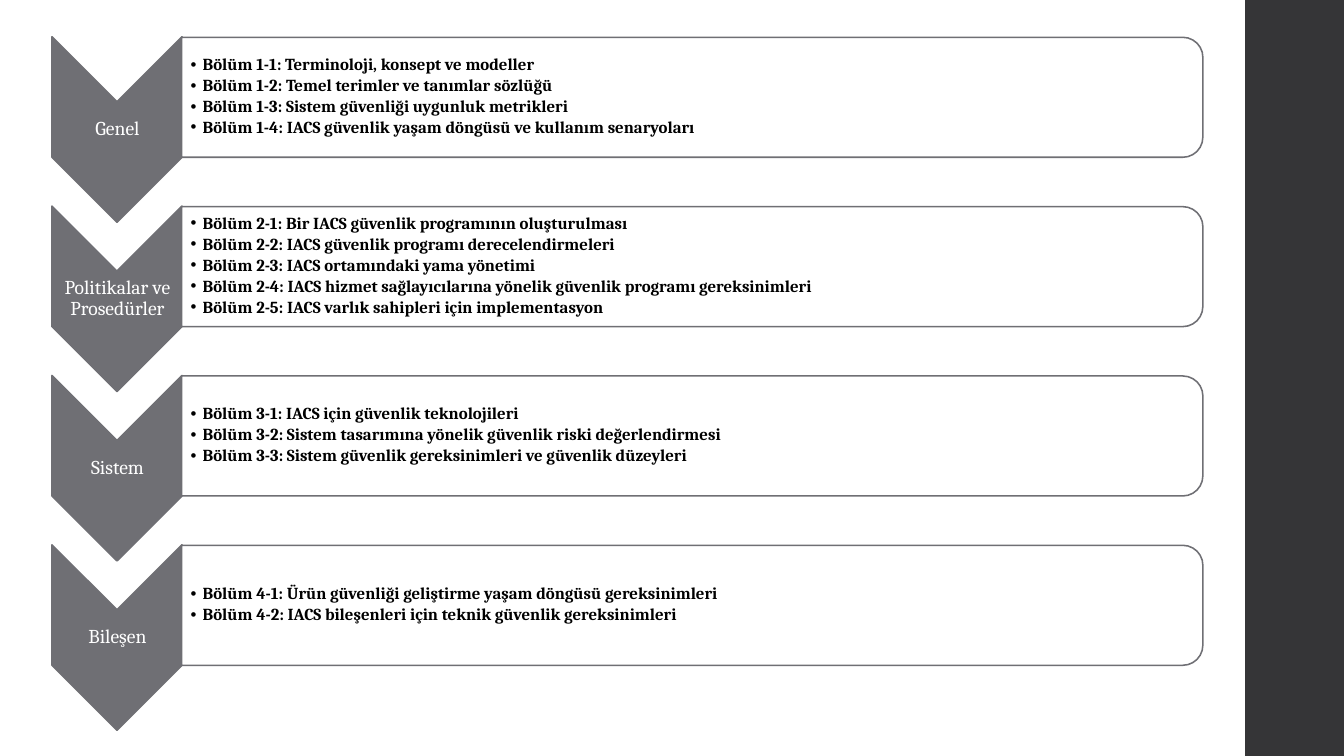
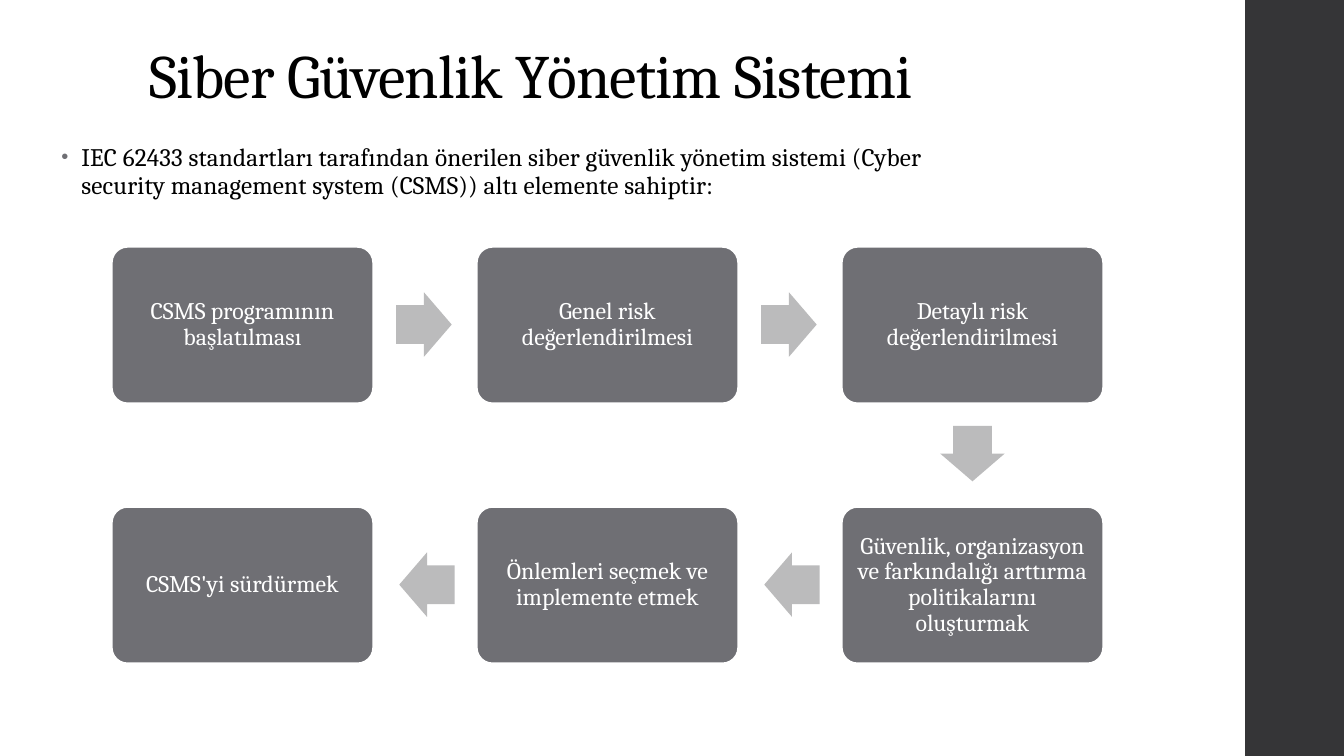
from lxml import etree
from pptx import Presentation
from pptx.dml.color import RGBColor
from pptx.enum.shapes import MSO_SHAPE
from pptx.enum.text import MSO_ANCHOR, PP_ALIGN
from pptx.oxml.ns import qn
from pptx.util import Inches, Pt

BLACK = RGBColor(0x00, 0x00, 0x00)
WHITE = RGBColor(0xFF, 0xFF, 0xFF)
DARK = RGBColor(0x35, 0x35, 0x37)
GREY = RGBColor(0x6F, 0x6F, 0x74)
LIGHT = RGBColor(0xBB, 0xBB, 0xBC)
FONT = "Cambria"
RECT, ROUND = MSO_SHAPE.RECTANGLE, MSO_SHAPE.ROUNDED_RECTANGLE
CHEVRON, PANEL = MSO_SHAPE.CHEVRON, MSO_SHAPE.ROUND_2_SAME_RECTANGLE
ARROW = MSO_SHAPE.RIGHT_ARROW
MIDDLE, BOTTOM, TOP = MSO_ANCHOR.MIDDLE, MSO_ANCHOR.BOTTOM, MSO_ANCHOR.TOP
CENTER, LEFT = PP_ALIGN.CENTER, PP_ALIGN.LEFT


def draw(slide, kind, at, fill, line=None, turn=0, adjust=()):
    shape = slide.shapes.add_shape(kind, *map(Inches, at))
    shape.shadow.inherit = False
    shape.rotation = turn
    shape.fill.solid()
    shape.fill.fore_color.rgb = fill
    if line is None:
        shape.line.fill.background()
    else:
        shape.line.color.rgb = line
        shape.line.width = Pt(1.1)
    for i, value in enumerate(adjust):
        shape.adjustments[i] = value
    return shape


def write(shape, lines, size, color, anchor=MIDDLE, align=CENTER,
          inset=(0.1, 0.05, 0.1, 0.05), bold=False, spacing=0.9, after=0,
          indent=0, bullet=(), track=0):
    frame = shape.text_frame
    frame.word_wrap = True
    frame.vertical_anchor = anchor
    (frame.margin_left, frame.margin_top,
     frame.margin_right, frame.margin_bottom) = map(Inches, inset)
    for i, text in enumerate(lines):
        para = frame.paragraphs[0] if i == 0 else frame.add_paragraph()
        run = para.add_run()
        run.text = text
        if track:
            run._r.get_or_add_rPr().set("spc", str(track))
        if indent:
            props = para._p.get_or_add_pPr()
            props.set("marL", str(Inches(indent)))
            props.set("indent", str(-Inches(indent)))
            if bullet:
                tint, scale = bullet
                hue = etree.SubElement(props, qn("a:buClr"))
                etree.SubElement(hue, qn("a:srgbClr")).set("val", str(tint))
                etree.SubElement(props, qn("a:buSzPct")).set("val", str(scale * 1000))
            etree.SubElement(props, qn("a:buFont")).set("typeface", "Arial")
            etree.SubElement(props, qn("a:buChar")).set("char", "•")
        para.alignment = align
        para.line_spacing = spacing
        para.space_after = Pt(after)
        para.font.name = FONT
        para.font.size = Pt(size)
        para.font.bold = bold
        para.font.color.rgb = color


deck = Presentation()
deck.slide_width, deck.slide_height = Inches(13.33), Inches(7.5)

# Both slides carry the dark band on the right
parts, cycle = [deck.slides.add_slide(deck.slide_layouts[6]) for _ in range(2)]
for slide in (parts, cycle):
    draw(slide, RECT, (12.35, 0, 0.98, 7.5), DARK)

# Slide 1: one chevron and one panel per group of standards
GROUPS = [
    ("Genel", [
        "Bölüm 1-1: Terminoloji, konsept ve modeller",
        "Bölüm 1-2: Temel terimler ve tanımlar sözlüğü",
        "Bölüm 1-3: Sistem güvenliği uygunluk metrikleri",
        "Bölüm 1-4: IACS güvenlik yaşam döngüsü ve kullanım senaryoları"]),
    ("Politikalar ve Prosedürler", [
        "Bölüm 2-1: Bir IACS güvenlik programının oluşturulması",
        "Bölüm 2-2: IACS güvenlik programı derecelendirmeleri",
        "Bölüm 2-3: IACS ortamındaki yama yönetimi",
        "Bölüm 2-4: IACS hizmet sağlayıcılarına yönelik güvenlik programı gereksinimleri",
        "Bölüm 2-5: IACS varlık sahipleri için implementasyon"]),
    ("Sistem", [
        "Bölüm 3-1: IACS için güvenlik teknolojileri",
        "Bölüm 3-2: Sistem tasarımına yönelik güvenlik riski değerlendirmesi",
        "Bölüm 3-3: Sistem güvenlik gereksinimleri ve güvenlik düzeyleri"]),
    ("Bileşen", [
        "Bölüm 4-1: Ürün güvenliği geliştirme yaşam döngüsü gereksinimleri",
        "Bölüm 4-2: IACS bileşenleri için teknik güvenlik gereksinimleri"]),
]
for row, (name, items) in enumerate(GROUPS):
    y = row * 1.68
    draw(parts, CHEVRON, (0.24, y + 0.64, 1.84, 1.29), GREY, GREY, 90)
    label = parts.shapes.add_textbox(*map(Inches, (0.52, y + 1.01, 1.29, 0.55)))
    write(label, [name], 14, WHITE, inset=[0.01] * 4)
    draw(parts, PANEL, (6.27, y - 4.1, 1.19, 10.13), WHITE, GREY, 90)
    body = parts.shapes.add_textbox(*map(Inches, (1.8, y + 0.42, 10.07, 1.08)))
    write(body, items, 12, BLACK, align=LEFT, inset=(0.09, 0.01, 0.01, 0.01),
          bold=True, after=2, indent=0.12)

# Slide 2: title and lead sentence
title = cycle.shapes.add_textbox(*map(Inches, (1.38, 0.32, 10.6, 0.84)))
write(title, ["Siber Güvenlik Yönetim Sistemi"], 44, BLACK, BOTTOM, LEFT, track=-50)
lead = cycle.shapes.add_textbox(*map(Inches, (0.51, 1.37, 9.4, 0.8)))
write(lead, ["IEC 62433 standartları tarafından önerilen siber güvenlik yönetim sistemi "
             "(Cyber security management system (CSMS)) altı elemente sahiptir:"],
      18, BLACK, TOP, LEFT, spacing=0.95, indent=0.2, bullet=(GREY, 80), track=10)

# Six steps: right along the top row, then back along the bottom row
STEPS = [
    "CSMS programının başlatılması",
    "Genel risk değerlendirilmesi",
    "Detaylı risk değerlendirilmesi",
    "Güvenlik, organizasyon ve farkındalığı arttırma politikalarını oluşturmak",
    "Önlemleri seçmek ve implemente etmek",
    "CSMS'yi sürdürmek",
]
for i, text in enumerate(STEPS):
    row = i // 3
    col = 5 - i if row else i
    x, y = 1.11 + col * 3.62, 2.45 + row * 2.58
    step = draw(cycle, ROUND, (x, y, 2.59, 1.55), GREY, WHITE, adjust=[0.1])
    write(step, [text], 17, WHITE, inset=[0.07] * 4)
    if i == len(STEPS) - 1:
        continue
    if i == 2:
        dx, dy, turn = 1.02, 1.73, 90
    elif row:
        dx, dy, turn = -0.77, 0.45, 180
    else:
        dx, dy, turn = 2.82, 0.45, 0
    draw(cycle, ARROW, (x + dx, y + dy, 0.55, 0.64), LIGHT, turn=turn, adjust=(0.6, 0.5))

deck.save("out.pptx")
